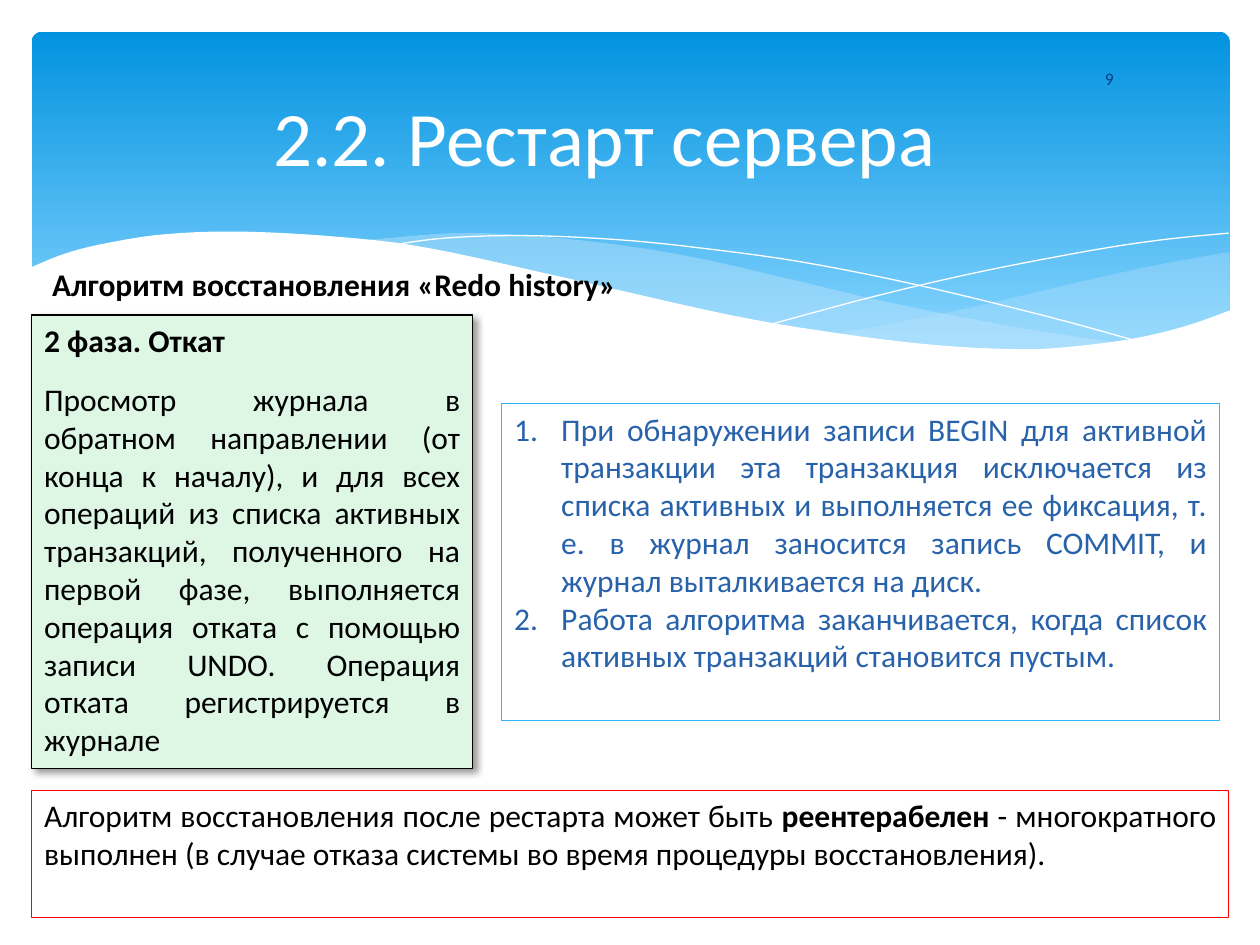
"""Build the slide on server restart and the undo phase of recovery."""
from dataclasses import dataclass

from lxml import etree
from pptx import Presentation
from pptx import util as u
from pptx.dml.color import RGBColor
from pptx.enum import shapes, text
from pptx.oxml.ns import qn


@dataclass(frozen=True)
class Theme:
    font: str = "Calibri"
    title_size: int = 44
    body_size: int = 18
    number_size: int = 10
    white: str = "FFFFFF"
    black: str = "000000"
    navy: str = "073E87"
    list_text: str = "2862AA"
    sky_top: str = "0293E0"
    sky_bottom: str = "83D3FE"
    wave: str = "C6E7FC"
    mint: str = "DEF6E4"
    blue_line: str = "31B6FD"
    red_line: str = "FF0000"


T = Theme()
ALIGN = text.PP_ALIGN

TITLE = "2.2. Рестарт сервера"
HEADING = "Алгоритм восстановления «Redo history»"
PHASE = [
    [("2 фаза. Откат", True)],
    [("Просмотр журнала в обратном направлении (от конца к началу), и для всех "
      "операций из списка активных транзакций, полученного на первой фазе, "
      "выполняется операция отката с помощью записи UNDO. Операция отката "
      "регистрируется в журнале", False)],
]
STEPS = [
    [("При обнаружении записи BEGIN для активной транзакции эта транзакция "
      "исключается из списка активных и выполняется ее фиксация, т. е. в журнал "
      "заносится запись COMMIT, и журнал выталкивается на диск.", False)],
    [("Работа алгоритма заканчивается, когда список активных транзакций "
      "становится пустым.", False)],
]
SUMMARY = [[
    ("Алгоритм восстановления после рестарта может быть ", False),
    ("реентерабелен", True),
    (" - многократного выполнен (в случае отказа системы во время процедуры "
     "восстановления).", False),
]]

RIGHT_WAVE = [
    [(24.79, 5.08), (23.39, 5.33), (21.87, 5.66), (19.79, 6.15), (17.93, 6.53),
     (16.79, 6.73)],
    [(16.79, 6.73), (18.26, 6.91), (19.53, 7.04), (20.68, 7.06), (21.92, 6.99),
     (22.99, 6.83), (23.93, 6.58), (24.79, 6.27)],
]
MIDDLE_WAVE = [
    [(22.68, 6.93), (20.5, 6.6), (17.93, 6.1), (15.98, 5.64), (14.1, 5.21),
     (12.42, 4.93), (10.67, 4.75), (9.17, 4.7), (7.26, 4.85)],
    [(7.26, 4.85), (9.19, 5.16), (11.4, 5.64), (13.46, 6.1), (15.7, 6.55),
     (17.65, 6.86), (19.33, 7.04), (20.78, 7.06), (22.68, 6.93)],
]
FALLING_LINE = [
    [(7.85, 4.95), (8.97, 4.8), (10.57, 4.75), (12.42, 4.83), (14.12, 5),
     (16.15, 5.28), (18.47, 5.74), (21.11, 6.38), (23.04, 6.91)],
]
RISING_LINE = [
    [(15.57, 6.53), (17.65, 5.97), (19.71, 5.49), (22, 5.05), (23.47, 4.83),
     (24.77, 4.7)],
]
WHITE_WAVE = [
    [(24.82, 6.25), (23.88, 6.58), (22.83, 6.83), (21.59, 6.99), (20.55, 7.04),
     (18.9, 6.96), (16.97, 6.73), (14.71, 6.35), (11.35, 5.59), (8.64, 5),
     (6.88, 4.78), (4.9, 4.67), (3.35, 4.72), (2.16, 4.9), (1.32, 5.11),
     (0.58, 5.41)],
    [(0.58, 8.36), (24.82, 8.36)],
]
WAVES = [
    (RIGHT_WAVE, T.wave, 29),
    (MIDDLE_WAVE, T.wave, 40),
    (FALLING_LINE, None, 100),
    (RISING_LINE, None, 100),
    (WHITE_WAVE, T.white, 100),
]


def rgb(value):
    return RGBColor.from_string(value)


def smooth(points, steps=5):
    """Return a Catmull-Rom curve through the points."""
    if len(points) < 3:
        return points
    ends = [points[0], *points, points[-1]]
    curve = [points[0]]
    for a, b, c, d in zip(ends, ends[1:], ends[2:], ends[3:]):
        for k in range(1, steps + 1):
            t = k / steps
            curve.append(tuple(
                (2 * q + (r - p) * t + (2 * p - 5 * q + 4 * r - w) * t ** 2
                 + (3 * q - p - 3 * r + w) * t ** 3) / 2
                for p, q, r, w in zip(a, b, c, d)))
    return curve


def add_wave(s, curves, color, opacity):
    """Draw a filled wave, or a thin white line when no colour is given."""
    points = [(u.Cm(x), u.Cm(y)) for c in curves for x, y in smooth(c)]
    builder = s.shapes.build_freeform(*points[0])
    builder.add_line_segments(points[1:], close=color is not None)
    sp = builder.convert_to_shape()
    sp.shadow.inherit = False
    if color is None:
        sp.fill.background()
        sp.line.color.rgb = rgb(T.white)
        sp.line.width = u.Pt(0)
        return
    sp.fill.solid()
    sp.fill.fore_color.rgb = rgb(color)
    sp.line.fill.background()
    if opacity < 100:
        clr = sp._element.spPr.find(".//" + qn("a:srgbClr"))
        etree.SubElement(clr, qn("a:alpha"), val=str(opacity * 1000))


def place(sp, left, top, width, height):
    sp.left, sp.top, sp.width, sp.height = map(u.Cm, (left, top, width, height))


def write(sp, paragraphs, color, size=T.body_size, align=ALIGN.JUSTIFY, before=0):
    tf = sp.text_frame
    tf.word_wrap = True
    tf.auto_size = text.MSO_AUTO_SIZE.NONE
    for i, runs in enumerate(paragraphs):
        p = tf.add_paragraph() if i else tf.paragraphs[0]
        p.alignment = align
        p.space_before = u.Pt(before)
        for content, bold in runs:
            r = p.add_run()
            r.text = content
            r.font.name, r.font.size, r.font.bold = T.font, u.Pt(size), bold
            r.font.color.rgb = rgb(color)


def add_box(s, at, line, fill=None):
    sp = s.shapes.add_shape(shapes.MSO_SHAPE.RECTANGLE, *map(u.Cm, at))
    sp.shadow.inherit = False
    sp.text_frame.vertical_anchor = text.MSO_ANCHOR.TOP
    sp.line.color.rgb = rgb(line)
    sp.line.width = u.Pt(0.75)
    if fill:
        sp.fill.solid()
        sp.fill.fore_color.rgb = rgb(fill)
    else:
        sp.fill.background()
    return sp


prs = Presentation()
prs.slide_width, prs.slide_height = u.Cm(25.4), u.Cm(19.05)
s = prs.slides.add_slide(prs.slide_layouts[1])
title, steps = s.placeholders[0], s.placeholders[1]

sky = s.shapes.add_shape(shapes.MSO_SHAPE.ROUNDED_RECTANGLE,
                         *map(u.Cm, (0.64, 0.64, 24.15, 6.86)))
sky.adjustments[0] = 0.03
sky.shadow.inherit = False
sky.line.fill.background()
sky.fill.gradient()
sky.fill.gradient_angle = 270
for stop, color, position in zip(sky.fill.gradient_stops,
                                 (T.sky_top, T.sky_bottom), (0, 0.9)):
    stop.color.rgb, stop.position = rgb(color), position

for wave in WAVES:
    add_wave(s, *wave)

number = s.shapes.add_textbox(*map(u.Cm, (20.75, 1.07, 3.23, 1.02)))
number.text_frame.vertical_anchor = text.MSO_ANCHOR.MIDDLE
write(number, [[("9", False)]], T.navy, T.number_size, ALIGN.CENTER)

s.shapes._spTree.append(title._element)
place(title, 2.34, 1.78, 19.71, 1.93)
title.text_frame.vertical_anchor = text.MSO_ANCHOR.MIDDLE
write(title, [[(TITLE, False)]], T.white, T.title_size, ALIGN.CENTER)

heading = s.shapes.add_textbox(*map(u.Cm, (0.8, 5.21, 12.2, 1.02)))
write(heading, [[(HEADING, True)]], T.black, align=ALIGN.LEFT)

phase = add_box(s, (0.64, 6.35, 8.89, 9.14), T.black, T.mint)
write(phase, PHASE, T.black, before=12)
phase.text_frame.paragraphs[0].alignment = ALIGN.LEFT
shadow = etree.SubElement(phase._element.spPr.find(qn("a:effectLst")),
                          qn("a:outerShdw"), blurRad=str(u.Pt(4)),
                          dist=str(u.Pt(3)), dir="2700000", rotWithShape="0")
shade = etree.SubElement(shadow, qn("a:srgbClr"), val=T.black)
etree.SubElement(shade, qn("a:alpha"), val="40000")

s.shapes._spTree.append(steps._element)
place(steps, 10.11, 8.13, 14.48, 6.4)
steps.line.color.rgb = rgb(T.blue_line)
steps.line.width = u.Pt(0.75)
write(steps, STEPS, T.list_text)
for p in steps.text_frame.paragraphs:
    pPr = p._p.get_or_add_pPr()
    pPr.set("marL", str(u.Cm(0.95)))
    pPr.set("indent", str(-u.Cm(0.95)))
    etree.SubElement(pPr, qn("a:buFont"), typeface=T.font)
    etree.SubElement(pPr, qn("a:buAutoNum"), type="arabicPeriod")

summary = add_box(s, (0.64, 15.93, 24.13, 2.57), T.red_line)
write(summary, SUMMARY, T.black)

prs.save("out.pptx")
